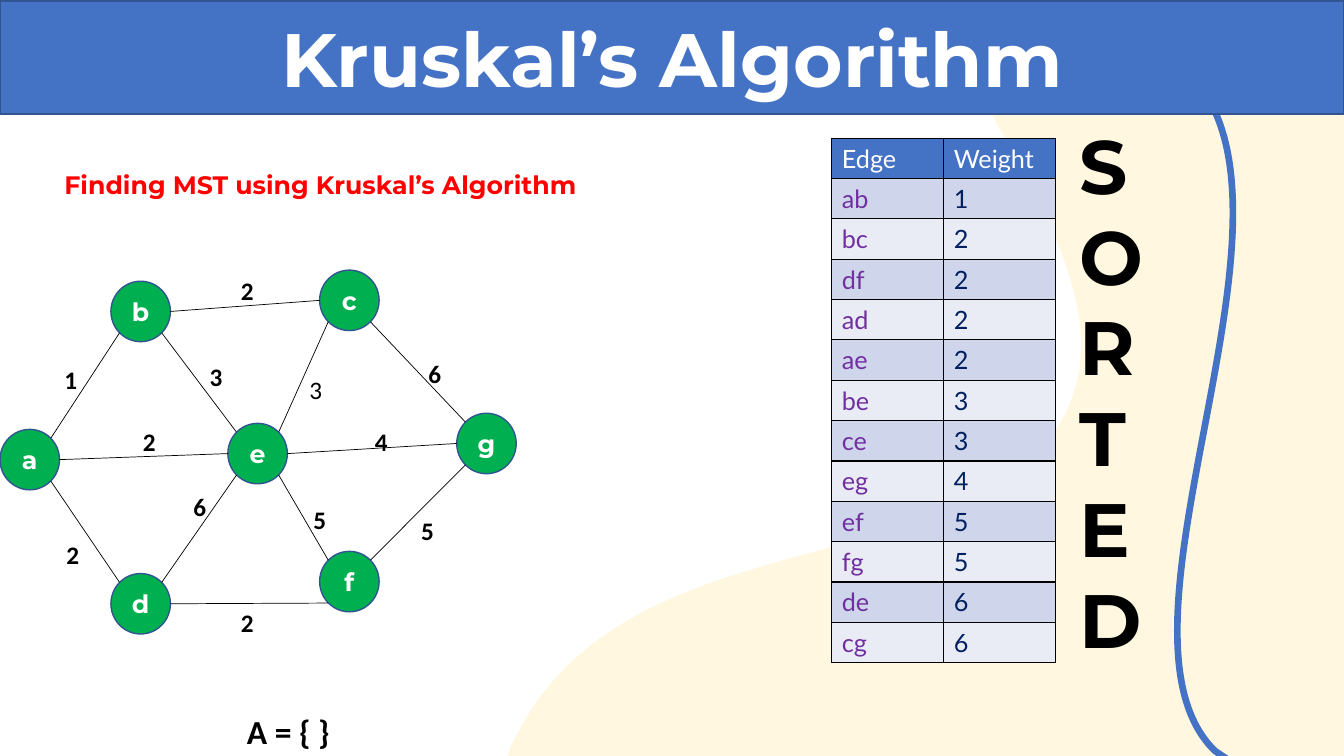
from lxml.etree import SubElement
from pptx import Presentation
from pptx.dml.color import RGBColor
from pptx.enum.shapes import MSO_CONNECTOR, MSO_SHAPE
from pptx.enum.text import MSO_ANCHOR, MSO_AUTO_SIZE, PP_ALIGN
from pptx.oxml.ns import qn
from pptx.util import Inches, Pt

BLUE = RGBColor(0x44, 0x72, 0xC4)
NAVY = RGBColor(0x32, 0x54, 0x91)
GREEN = RGBColor(0x00, 0xB0, 0x50)
GOLD = RGBColor(0xFF, 0xD9, 0x66)
RED = RGBColor(0xFF, 0x00, 0x00)
BLACK = RGBColor(0x00, 0x00, 0x00)
WHITE = RGBColor(0xFF, 0xFF, 0xFF)
PURPLE = RGBColor(0x70, 0x30, 0xA0)
INK = RGBColor(0x00, 0x20, 0x60)
BANDS = [RGBColor(0xE9, 0xEB, 0xF5), RGBColor(0xCF, 0xD5, 0xEA)]

prs = Presentation()
prs.slide_width = Inches(13.33)
prs.slide_height = Inches(7.5)
slide = prs.slides.add_slide(prs.slide_layouts[6])
shapes = slide.shapes


def write(frame, lines, size, face, color, bold=True, align=PP_ALIGN.LEFT):
    frame.word_wrap = True
    for row, line in enumerate(lines):
        para = frame.add_paragraph() if row else frame.paragraphs[0]
        para.alignment = align
        run = para.add_run()
        run.text = line
        run.font.size = Pt(size)
        run.font.name = face
        run.font.bold = bold
        run.font.color.rgb = color


def trace(left, top, wide, high, steps, close):
    pen = shapes.build_freeform(Inches(left), Inches(top))
    pen.add_line_segments([(Inches(left + wide), Inches(top + high))], close=False)
    shape = pen.convert_to_shape()
    shape.shadow.inherit = False
    route = next(shape.element.spPr.iter(qn("a:path")))
    for old in list(route):
        route.remove(old)
    for spot, step in enumerate(steps):
        kind = "a:cubicBezTo" if len(step) == 6 else "a:lnTo" if spot else "a:moveTo"
        move = SubElement(route, qn(kind))
        for x, y in zip(step[::2], step[1::2]):
            SubElement(move, qn("a:pt"), x=str(Inches(x - left)), y=str(Inches(y - top)))
    if close:
        SubElement(route, qn("a:close"))
    return shape


blob = trace(5.03, 0, 8.3, 7.5, [
    (9.27, 0), (13.33, 0), (13.33, 7.5), (5.03, 7.5), (5.07, 7.4),
    (5.11, 7.31, 5.15, 7.25, 5.17, 7.21),
    (6.31, 5.12, 9.62, 5.78, 10.52, 4.19),
    (11.23, 2.96, 9.88, 1.46, 9.32, 0.12)], True)
blob.fill.solid()
blob.fill.fore_color.rgb = GOLD
tint = next(blob.element.spPr.iter(qn("a:srgbClr")))
SubElement(tint, qn("a:alpha")).set("val", "20000")
blob.line.fill.background()

wave = trace(6.71, -0.03, 5.52, 7.56, [
    (12.17, 7.53), (12.14, 7.51), (12.05, 7.45),
    (10.84, 6.27, 13.07, 2.2, 11.85, 0.79),
    (10.78, -0.47, 8.2, 1.8, 6.83, 0.12),
    (6.8, 0.09, 6.76, 0.04, 6.71, -0.03)], False)
wave.fill.background()
wave.line.color.rgb = BLUE
wave.line.width = Pt(4.75)

WIDE, HIGH = 0.59, 0.6
nodes = {"a": (0, 4.26), "b": (1.1, 2.79), "d": (1.1, 5.69), "c": (3.17, 2.68),
         "e": (2.26, 4.2), "f": (3.17, 5.47), "g": (4.53, 4.1)}
for name, (x, y) in nodes.items():
    node = shapes.add_shape(MSO_SHAPE.OVAL, Inches(x), Inches(y), Inches(WIDE), Inches(HIGH))
    node.shadow.inherit = False
    node.fill.solid()
    node.fill.fore_color.rgb = GREEN
    node.line.color.rgb = NAVY
    node.line.width = Pt(1)
    node.text_frame.vertical_anchor = MSO_ANCHOR.MIDDLE
    write(node.text_frame, [name], 18, "Montserrat", WHITE, align=PP_ALIGN.CENTER)

DIAG = 0.71
sites = {"E": (1, 0), "W": (-1, 0), "NE": (DIAG, -DIAG), "NW": (-DIAG, -DIAG),
         "SE": (DIAG, DIAG), "SW": (-DIAG, DIAG)}
edges = [
    ("ab", "1", "NE", "SW", 0.54, 3.57),
    ("bc", "2", "E", "W", 2.29, 2.68),
    ("df", "2", "E", "SW", 2.29, 5.98),
    ("ad", "2", "SE", "NW", 0.56, 5.3),
    ("ae", "2", "E", "W", 1.32, 4.18),
    ("be", "3", "SE", "NW", 1.98, 3.54),
    ("ce", "3", "SW", "NE", 2.97, 3.66),
    ("eg", "4", "E", "W", 3.62, 4.18),
    ("ef", "5", "SE", "NW", 3.01, 4.95),
    ("fg", "5", "NE", "SW", 4.08, 5.06),
    ("de", "6", "NE", "SW", 1.82, 4.83),
    ("cg", "6", "SE", "NW", 4.15, 3.51),
]
for pair, weight, out, into, x, y in edges:
    ends = []
    for name, site in zip(pair, (out, into)):
        left, top = nodes[name]
        dx, dy = sites[site]
        ends += [Inches(left + WIDE / 2 * (1 + dx)), Inches(top + HIGH / 2 * (1 + dy))]
    link = shapes.add_connector(MSO_CONNECTOR.STRAIGHT, *ends)
    link.line.color.rgb = BLACK
    link.line.width = Pt(0.5)
    SubElement(link.element.spPr, qn("a:effectLst"))

rows = [("Edge", "Weight")] + [edge[:2] for edge in edges]
grid = shapes.add_table(len(rows), 2, Inches(8.25), Inches(1.37), Inches(2.22), Inches(5.2))
for r, row in enumerate(rows):
    grid.table.rows[r].height = Inches(0.37)
    for c, word in enumerate(row):
        cell = grid.table.cell(r, c)
        props = cell._tc.get_or_add_tcPr()
        for side in ("a:lnL", "a:lnR", "a:lnT", "a:lnB"):
            rim = SubElement(props, qn(side), w=str(Pt(1)))
            fill = SubElement(rim, qn("a:solidFill"))
            SubElement(fill, qn("a:srgbClr"), val=str(BLACK))
        cell.fill.solid()
        cell.fill.fore_color.rgb = BANDS[r % 2] if r else BLUE
        write(cell.text_frame, [word], 18, "Lato", (PURPLE, INK)[c] if r else WHITE, bold=False)
grid.height = Inches(5.2)

bar = shapes.add_shape(MSO_SHAPE.RECTANGLE, 0, Inches(0.01), Inches(13.33), Inches(1.12))
bar.shadow.inherit = False
bar.fill.solid()
bar.fill.fore_color.rgb = BLUE
bar.line.color.rgb = NAVY
bar.line.width = Pt(1)
bar.text_frame.vertical_anchor = MSO_ANCHOR.MIDDLE
write(bar.text_frame, ["Kruskal’s Algorithm"], 54, "Montserrat", WHITE, align=PP_ALIGN.CENTER)

notes = [
    (["Finding MST using Kruskal’s Algorithm"], 0.54, 1.63, 6.47, 0.4, 18, "Montserrat", RED, True),
    ("SORTED", 10.61, 1.13, 1.08, 5.55, 54, "Montserrat", BLACK, True),
    (["A = { }"], 2.35, 7, 3, 0.5, 24, "Calibri", BLACK, True),
]
for pair, weight, out, into, x, y in edges:
    notes.append(([weight], x, y, 0.36, 0.4, 18, "Calibri", BLACK, pair != "ce"))
for lines, x, y, wide, high, size, face, color, bold in notes:
    box = shapes.add_textbox(Inches(x), Inches(y), Inches(wide), Inches(high))
    write(box.text_frame, lines, size, face, color, bold)
    box.text_frame.auto_size = MSO_AUTO_SIZE.SHAPE_TO_FIT_TEXT

prs.save("out.pptx")
